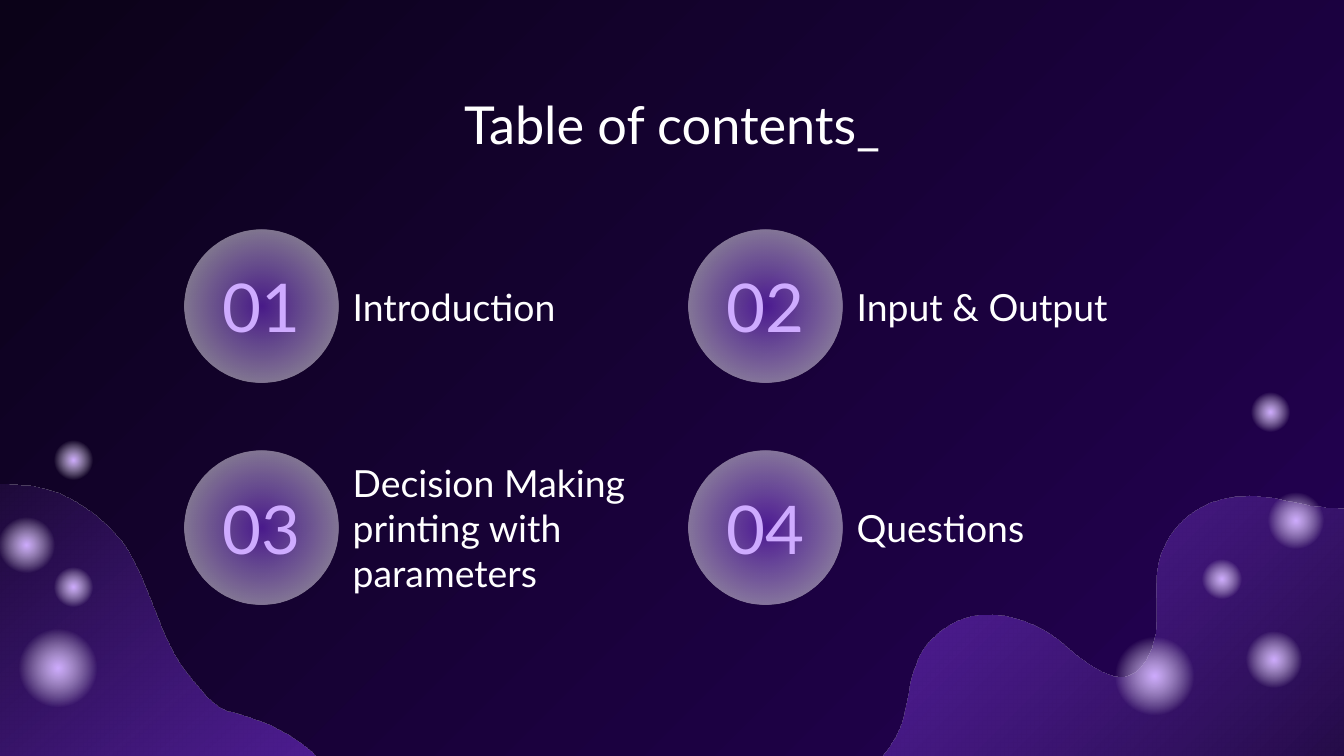
import pptx
import pptx.dml.color
import pptx.enum.shapes
import pptx.enum.text
import pptx.oxml
import pptx.oxml.ns
import pptx.util
from dataclasses import dataclass

Pt = pptx.util.Pt
ALIGN = pptx.enum.text.PP_ALIGN
ANCHOR = pptx.enum.text.MSO_ANCHOR
OVAL = pptx.enum.shapes.MSO_SHAPE.OVAL
SPACE = pptx.oxml.ns.nsdecls("a")


@dataclass(frozen=True)
class Theme:
    font: str = "Lato"
    white: str = "FFFFFF"
    lilac: str = "CEABFF"
    # Gradient stops: position, colour, opacity (all percent)
    back: tuple = ((0, "0B0218", 100), (100, "240155", 100))
    wave: tuple = ((0, "0B0218", 100), (100, "8134EC", 70))
    glow: tuple = ((0, "CEABFF", 100), (57, "FFFFFF", 0), (100, "FFFFFF", 0))
    badge: tuple = ((0, "8134EC", 49), (77, "FFFFFF", 49), (100, "FFFFFF", 49))
    head: int = 28
    number: int = 36
    label: int = 20
    inset: float = 7.2


def write(frame, text, size, color, font, align=ALIGN.LEFT):
    para = frame.paragraphs[0]
    para.alignment = align
    run = para.add_run()
    run.text = text
    run.font.name = font
    run.font.size = Pt(size)
    run.font.color.rgb = pptx.dml.color.RGBColor.from_string(color)


def bend(shape, steps):
    """Turn the straight sides into cubic curves where a step has six numbers."""
    sides = shape.element.findall(".//" + pptx.oxml.ns.qn("a:lnTo"))
    for side, step in zip(sides, steps):
        if len(step) == 2:
            continue
        marks = "".join(
            f'<a:pt x="{Pt(x) - shape.left}" y="{Pt(y) - shape.top}"/>'
            for x, y in zip(step[::2], step[1::2]))
        curve = pptx.oxml.parse_xml(
            f"<a:cubicBezTo {SPACE}>{marks}</a:cubicBezTo>")
        side.getparent().replace(side, curve)


class Deck:
    def __init__(self, theme, width, height):
        self.theme = theme
        self.file = pptx.Presentation()
        self.file.slide_width, self.file.slide_height = Pt(width), Pt(height)
        self.slide = self.file.slides.add_slide(self.file.slide_layouts[6])

    def blend(self, fill, owner, stops, angle=None):
        """Linear gradient at a clockwise angle, or radial without one."""
        fill.gradient()
        node = owner.find(".//" + pptx.oxml.ns.qn("a:gradFill"))
        marks = "".join(
            f'<a:gs pos="{pos * 1000}"><a:srgbClr val="{color}">'
            f'<a:alpha val="{alpha * 1000}"/></a:srgbClr></a:gs>'
            for pos, color, alpha in stops)
        if angle is None:
            way = ('<a:path path="circle"><a:fillToRect l="50000" t="50000" '
                   'r="50000" b="50000"/></a:path>')
        else:
            way = f'<a:lin ang="{angle * 60000}" scaled="0"/>'
        fresh = pptx.oxml.parse_xml(
            f'<a:gradFill {SPACE} rotWithShape="1">'
            f'<a:gsLst>{marks}</a:gsLst>{way}</a:gradFill>')
        node.getparent().replace(node, fresh)

    def back(self):
        self.blend(self.slide.background.fill, self.slide.element,
                   self.theme.back, 45)

    def dress(self, shape, stops, angle=None):
        shape.shadow.inherit = False
        shape.line.fill.background()
        self.blend(shape.fill, shape.element, stops, angle)

    def wave(self, start, steps, angle):
        pen = self.slide.shapes.build_freeform(*map(Pt, start), scale=1.0)
        pen.add_line_segments([tuple(map(Pt, step[-2:])) for step in steps])
        shape = pen.convert_to_shape()
        bend(shape, steps)
        self.dress(shape, self.theme.wave, angle)

    def disc(self, x, y, size, stops):
        shape = self.slide.shapes.add_shape(
            OVAL, Pt(x), Pt(y), Pt(size), Pt(size))
        self.dress(shape, stops)

    def text(self, text, x, y, width, height, anchor=ANCHOR.MIDDLE, **style):
        box = self.slide.shapes.add_textbox(
            Pt(x), Pt(y), Pt(width), Pt(height))
        frame = box.text_frame
        frame.word_wrap = True
        frame.vertical_anchor = anchor
        frame.margin_left = frame.margin_right = Pt(self.theme.inset)
        frame.margin_top = frame.margin_bottom = Pt(self.theme.inset)
        write(frame, text, font=self.theme.font, **style)


# Wave outlines: six numbers make a curve, two a straight side
RIGHT = [
    (743.8, 265.7, 734.4, 270, 727.2, 271.4),
    (715.7, 274.3, 704.2, 271.4, 692.6, 269.3),
    (684.7, 267.8, 676.8, 265.7, 668.9, 265.7),
    (648, 265.7, 630.7, 275.8, 622.8, 294.5),
    (614.2, 313.2, 625.7, 334.8, 613.4, 354.2),
    (600.5, 374.4, 578.9, 352.8, 566.6, 342.7),
    (551.5, 331.2, 527, 324, 509.8, 334.1),
    (501.1, 339.1, 492.5, 347.8, 490.3, 357.1),
    (486, 366.5, 486.7, 377.3, 483.1, 387.4),
    (479.5, 396, 473, 407.5, 463.7, 411.8),
    (453.6, 416.2, 442.8, 416.2, 432.7, 417.6),
    (391, 424.1, 349.9, 450, 333.4, 490.3),
    (331.2, 495.4, 329, 503.3, 329, 508.3),
    (779.8, 508.3), (773.3, 234),
    (770.4, 243.4, 757.4, 255.6, 749.5, 261.4),
]
LEFT = [
    (85, 582, 99, 577, 109, 568), (117, 561, 123, 552, 128, 541),
    (132, 531, 134, 520, 139, 510), (150, 488, 171, 478, 179, 454),
    (183, 439, 181, 422, 172, 409), (166, 400, 157, 395, 148, 390),
    (143, 387, 138, 386, 133, 384), (130, 383, 126, 382, 122, 381),
    (116, 379, 111, 374, 107, 369), (96, 358, 89, 344, 84, 330),
    (78, 316, 74, 302, 65, 290), (56, 279, 45, 270, 31, 264),
    (24, 262, 18, 260, 11, 260), (-5, 258, -22, 262, -35, 271),
    (-45, 278, -53, 288, -53, 300), (-53, 307, -48, 315, -43, 320),
    (-36, 328, -27, 332, -21, 340), (-10, 353, -9, 372, -18, 387),
    (-27, 401, -42, 405, -58, 405), (-73, 405, -91, 413, -102, 425),
    (-114, 436, -120, 455, -116, 471), (-113, 481, -107, 490, -98, 495),
    (-93, 498, -86, 500, -80, 500), (-76, 500, -73, 501, -68, 501),
    (-63, 501, -58, 501, -52, 502), (-32, 503, -11, 508, 6, 521),
    (17, 530, 24, 541, 32, 553), (40, 562, 49, 572, 60, 577),
    (64, 579, 68, 580, 72, 580),
]
# Glowing dots: left, top, size
DOTS = [
    (5, 332, 52), (-4.3, 273.6, 37), (26.5, 233.4, 26), (26.5, 301.5, 26),
    (592.6, 336.4, 52), (663.9, 334.9, 37), (667.5, 207.8, 26),
    (641.7, 297.4, 26), (675.6, 260.5, 37),
]
# Topics and the widths of their labels
TOPICS = [
    ("Introduction", 169.2), ("Input & Output", 202.3),
    ("Decision Making printing with parameters", 178.6), ("Questions", 169.2),
]


def main():
    theme = Theme()
    deck = Deck(theme, 720, 405)

    # Backdrop
    deck.back()
    deck.wave((749.5, 261.4), RIGHT, 225)
    deck.wave((72, 580), LEFT, 50)
    for x, y, size in DOTS:
        deck.disc(x, y, size, theme.glow)

    # Title
    deck.text("Table of contents_", 56.6, 42.5, 607, 45, anchor=ANCHOR.TOP,
              size=theme.head, color=theme.white, align=ALIGN.CENTER)

    # Numbered topics in two columns
    size, high = 82.4, 52
    for i, (topic, width) in enumerate(TOPICS):
        row, col = divmod(i, 2)
        x, y = 98.7 + 270 * col, 122.8 + 118.6 * row
        top = y + (size - high) / 2
        deck.disc(x, y, size, theme.badge)
        deck.text(f"{i + 1:02}", x, top, size, high, size=theme.number,
                  color=theme.lilac, align=ALIGN.CENTER)
        deck.text(topic, x + size + 0.7, top, width, high,
                  size=theme.label, color=theme.white)

    deck.file.save("out.pptx")


if __name__ == "__main__":
    main()
